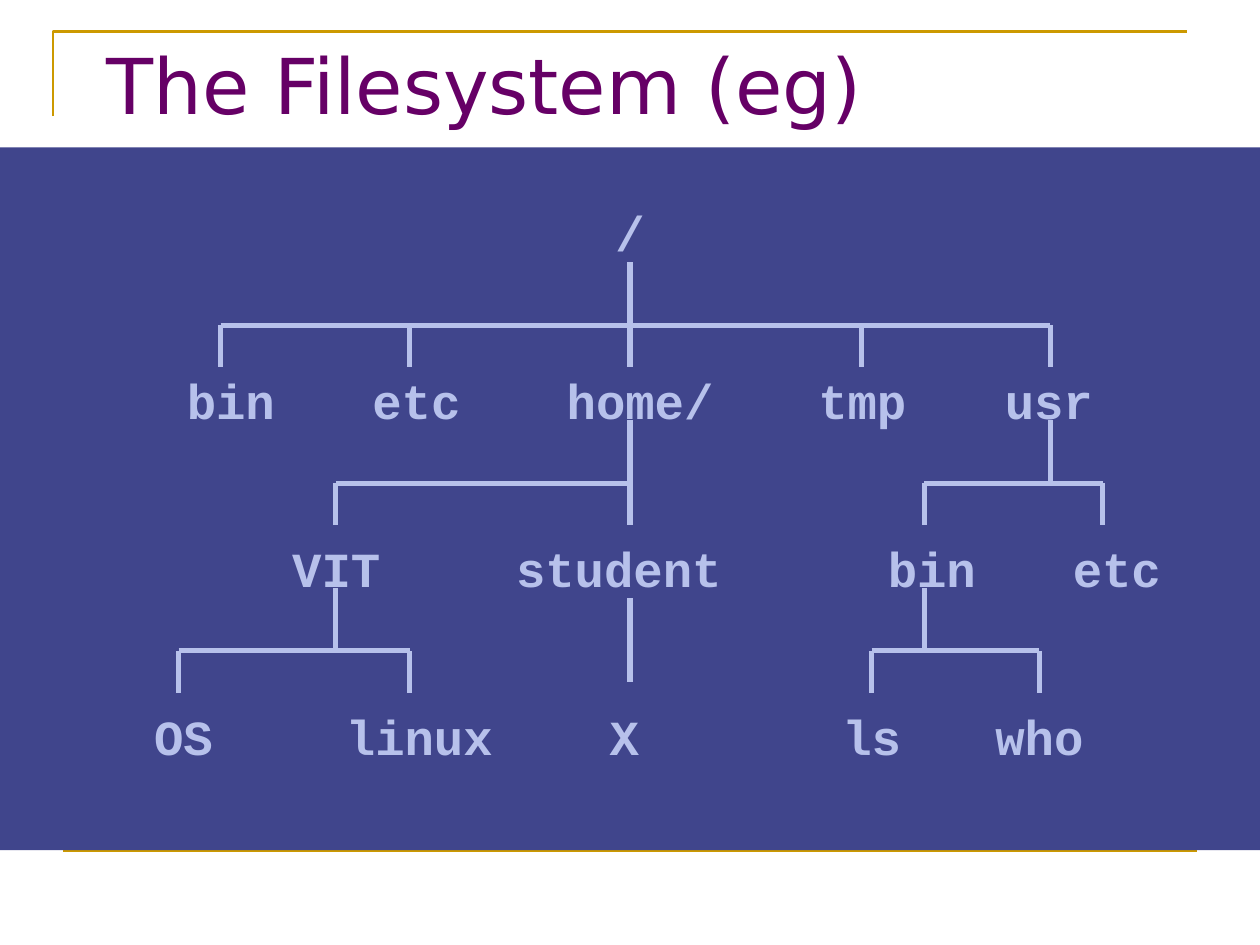
from dataclasses import dataclass

from lxml import etree
from pptx import Presentation
from pptx.dml.color import RGBColor
from pptx.enum.shapes import MSO_CONNECTOR, MSO_SHAPE
from pptx.enum.text import MSO_ANCHOR, MSO_AUTO_SIZE, PP_ALIGN
from pptx.oxml.ns import qn
from pptx.util import Cm, Pt

STRAIGHT = MSO_CONNECTOR.STRAIGHT
RECTANGLE = MSO_SHAPE.RECTANGLE
BOTTOM = MSO_ANCHOR.BOTTOM
NO_AUTOFIT = MSO_AUTO_SIZE.NONE
LEFT, CENTER = PP_ALIGN.LEFT, PP_ALIGN.CENTER
TITLE_ONLY = 5


@dataclass(frozen=True)
class Theme:
    gold: RGBColor = RGBColor(0xCC, 0x99, 0x00)
    purple: RGBColor = RGBColor(0x66, 0x00, 0x66)
    panel: RGBColor = RGBColor(0x40, 0x45, 0x8C)
    pale: RGBColor = RGBColor(0xB7, 0xC1, 0xEB)
    title_font: str = "DejaVu Sans"
    label_font: str = "Courier New"
    title_size: Pt = Pt(44)
    label_size: Pt = Pt(28)
    rule_width: Pt = Pt(1.5)
    branch_width: Pt = Pt(3)


THEME = Theme()


@dataclass(frozen=True)
class Node:
    name: str
    left: float    # label box, cm from the panel's left
    width: float
    branch: float  # where its branches meet it, cm from the panel's left
    children: tuple = ()


FILESYSTEM = Node("/", 11.86, 1.68, 12.7, (
    Node("bin", 3.5, 2.31, 4.45),
    Node("etc", 7.24, 2.31, 8.26),
    Node("home/", 11, 3.81, 12.7, (
        Node("VIT", 4.24, 5.08, 6.77, (
            Node("OS", 0.84, 5.72, 3.6),
            Node("linux", 6.55, 3.81, 8.26),
        )),
        Node("student", 9.96, 5.03, 12.7, (
            Node("X", 11.43, 2.31, 12.7),
        )),
    )),
    Node("tmp", 16.23, 2.31, 17.36),
    Node("usr", 19.99, 2.31, 21.17, (
        Node("bin", 17.63, 2.31, 18.63, (
            Node("ls", 15.67, 3.81, 17.57),
            Node("who", 19.05, 3.81, 20.95),
        )),
        Node("etc", 21.36, 2.31, 22.23),
    )),
))

# Vertical rhythm of the tree, cm from the panel's top
FIRST_ROW, ROW_STEP, LABEL_HEIGHT = 0.84, 3.39, 1.45
BUS_HEIGHTS = (3.59, 6.77, 10.15)
STEM, DROP = 1.27, 0.84
ONLY_CHILD_STEM, ONLY_CHILD_DROP = 1.06, 0.62


def apply(target, formats):
    for attribute, value in formats.items():
        setattr(target, attribute, value)


def write(frame, text, frame_formats, alignment, font_formats, color):
    apply(frame, frame_formats)
    paragraph = frame.paragraphs[0]
    paragraph.text = text
    paragraph.alignment = alignment
    apply(paragraph.font, font_formats)
    paragraph.font.color.rgb = color


def add_line(slide, start, end, color, width):
    line = slide.shapes.add_connector(STRAIGHT, *(Cm(v) for v in start + end))
    line.line.color.rgb = color
    line.line.width = width
    etree.SubElement(line._element.spPr, qn("a:effectLst"))


def add_rules(slide, left, top, width, height):
    """Gold corner above the title and gold rule at the foot."""
    corner_drop, foot_shift = 1.7, 0.2
    builder = slide.shapes.build_freeform(Cm(left), Cm(top + corner_drop))
    builder.add_line_segments(
        [(Cm(left), Cm(top)), (Cm(left + width), Cm(top))], close=False)
    corner = builder.convert_to_shape()
    corner.shadow.inherit = False
    corner.fill.background()
    corner.line.color.rgb = THEME.gold
    corner.line.width = THEME.rule_width
    foot = top + height
    add_line(slide, (left + foot_shift, foot), (left + foot_shift + width, foot),
             THEME.gold, THEME.rule_width)


def add_title(slide, text, left, top, width, height):
    title = slide.shapes.title
    apply(title, dict(left=Cm(left), top=Cm(top), width=Cm(width), height=Cm(height)))
    write(title.text_frame, text,
          dict(vertical_anchor=BOTTOM, word_wrap=True, auto_size=NO_AUTOFIT),
          LEFT, dict(name=THEME.title_font, size=THEME.title_size), THEME.purple)


def add_label(slide, node, left, top):
    label = slide.shapes.add_textbox(
        Cm(left + node.left), Cm(top), Cm(node.width), Cm(LABEL_HEIGHT))
    write(label.text_frame, node.name,
          dict(vertical_anchor=BOTTOM, word_wrap=True, auto_size=NO_AUTOFIT,
               margin_left=0, margin_right=0, margin_bottom=0),
          CENTER, dict(name=THEME.label_font, size=THEME.label_size, bold=True),
          THEME.pale)


def add_branches(slide, node, left, bus):
    def branch(x1, y1, x2, y2):
        add_line(slide, (left + x1, y1), (left + x2, y2),
                 THEME.pale, THEME.branch_width)

    # An only child hangs on one unbroken line
    if len(node.children) == 1:
        branch(node.branch, bus - ONLY_CHILD_STEM, node.branch, bus + ONLY_CHILD_DROP)
        return
    ends = [child.branch for child in node.children]
    branch(node.branch, bus - STEM, node.branch, bus)
    branch(min(ends), bus, max(ends), bus)
    for x in ends:
        branch(x, bus, x, bus + DROP)


def add_subtree(slide, node, left, top, level=0):
    add_label(slide, node, left, top + FIRST_ROW + level * ROW_STEP)
    if node.children:
        add_branches(slide, node, left, top + BUS_HEIGHTS[level])
    for child in node.children:
        add_subtree(slide, child, left, top, level + 1)


def add_tree_panel(slide, root, left, top, width, height):
    panel = slide.shapes.add_shape(
        RECTANGLE, Cm(left), Cm(top), Cm(width), Cm(height))
    panel.shadow.inherit = False
    panel.fill.solid()
    panel.fill.fore_color.rgb = THEME.panel
    panel.line.fill.background()
    add_subtree(slide, root, left, top)


def main():
    deck = Presentation()
    apply(deck, dict(slide_width=Cm(25.4), slide_height=Cm(19.05)))
    slide = deck.slides.add_slide(deck.slide_layouts[TITLE_ONLY])
    add_rules(slide, 1.07, 0.64, 22.86, 16.51)
    add_title(slide, "The Filesystem (eg)", 1.9, 0.64, 21.59, 2.11)
    add_tree_panel(slide, FILESYSTEM, 0, 2.97, 25.4, 14.17)
    deck.save("out.pptx")


if __name__ == "__main__":
    main()
